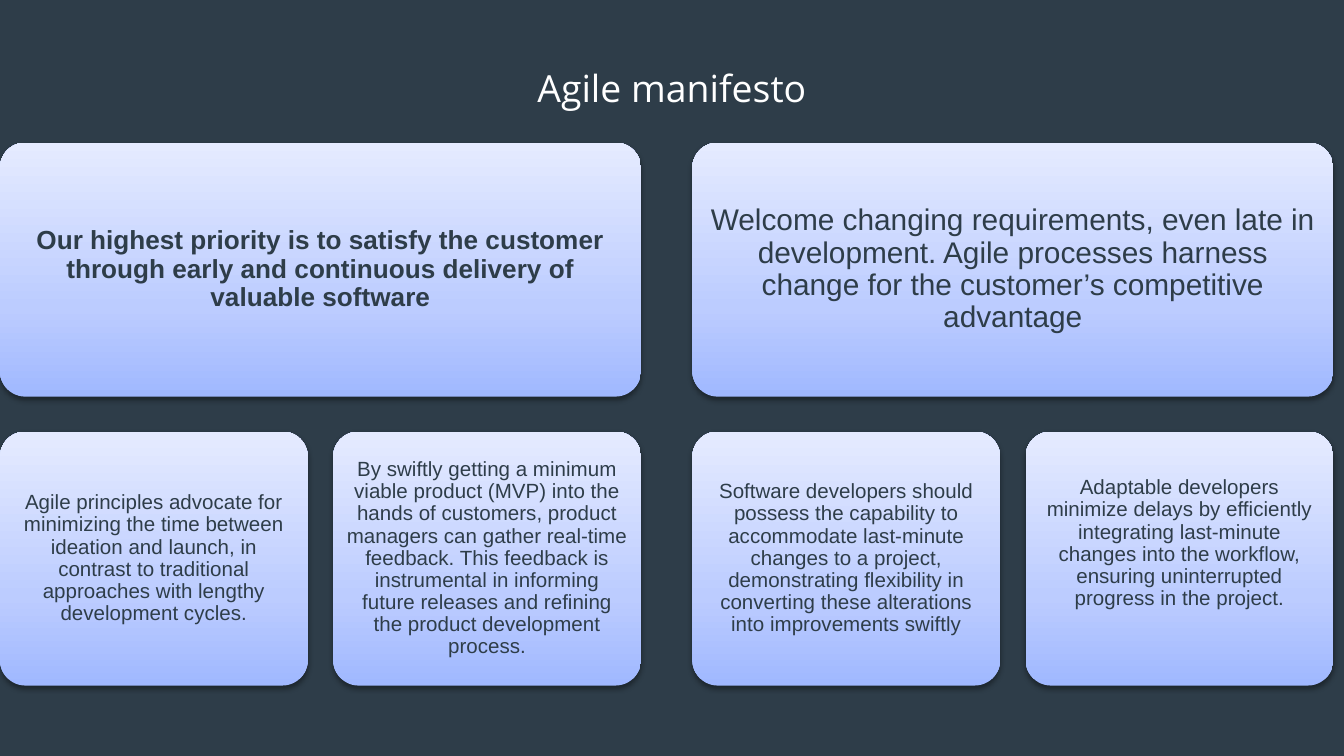
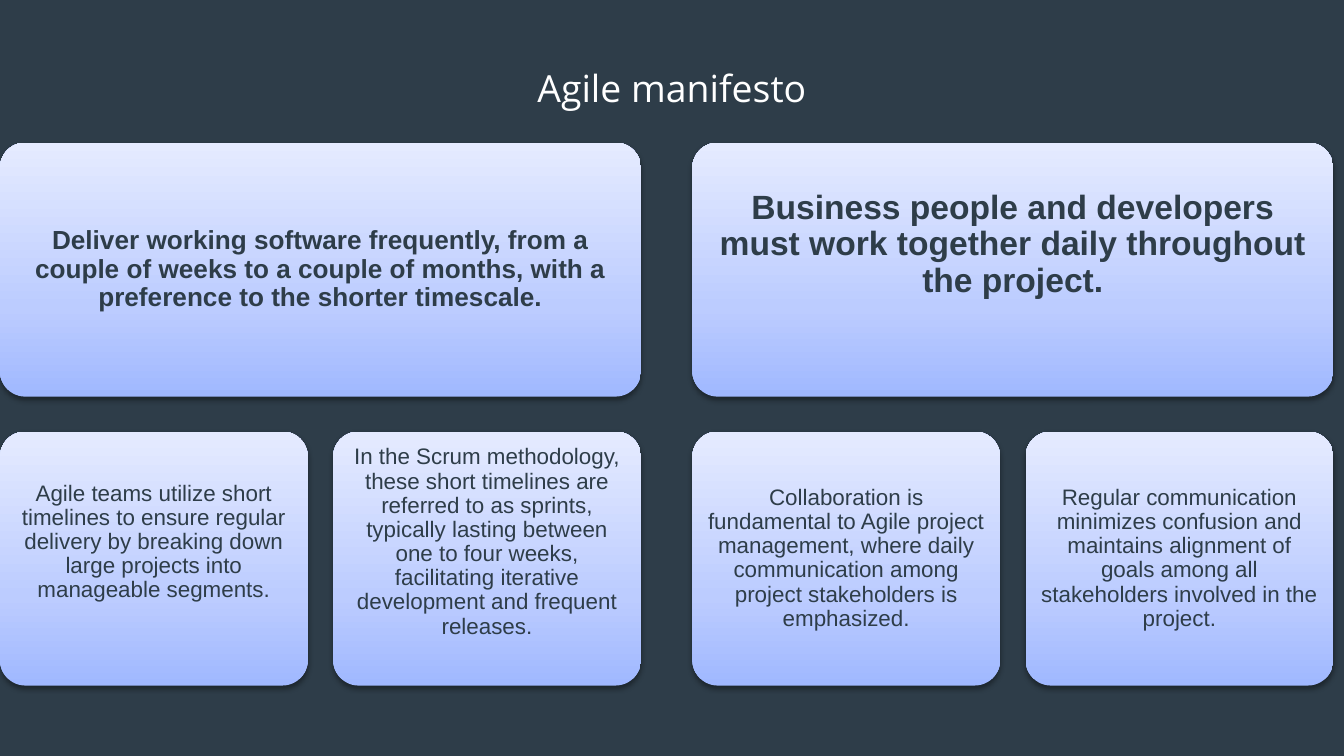
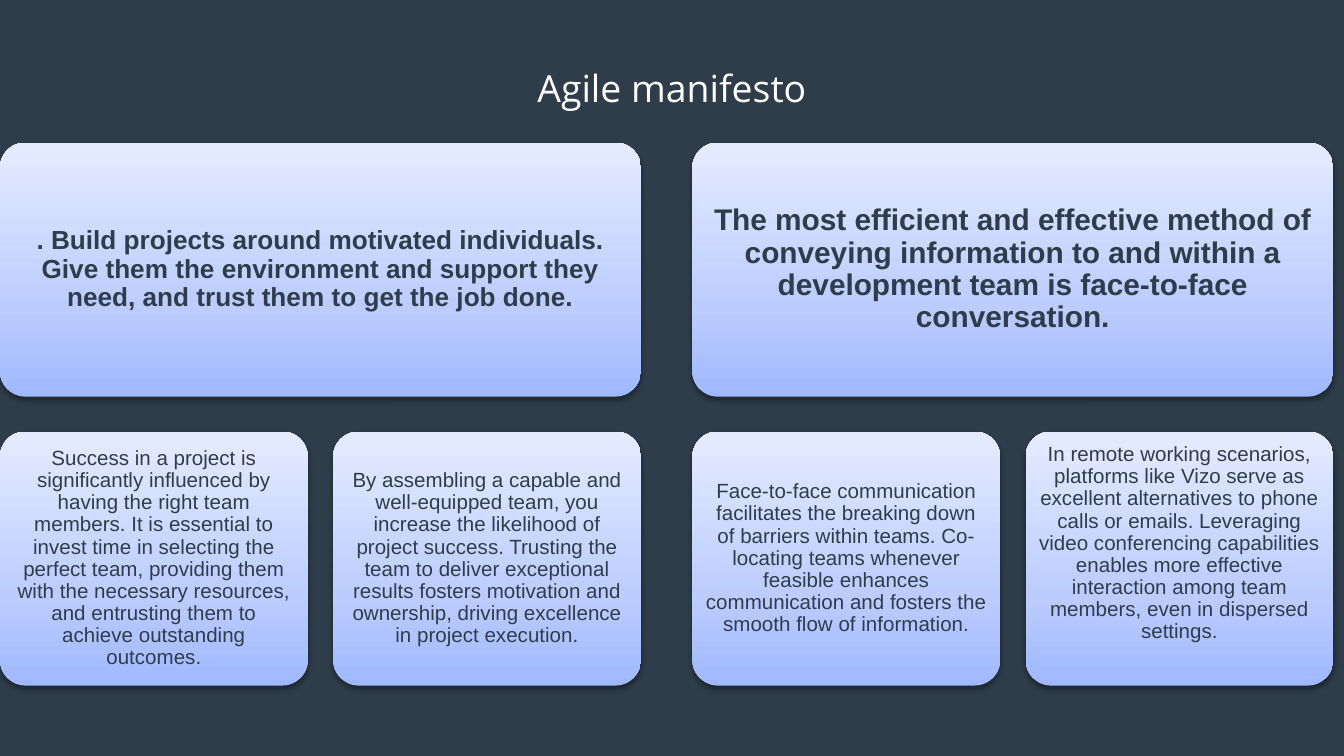
from dataclasses import dataclass

from pptx import Presentation
from pptx.dml.color import RGBColor
from pptx.enum.shapes import MSO_SHAPE
from pptx.enum.text import MSO_ANCHOR, PP_ALIGN
from pptx.oxml import parse_xml
from pptx.oxml.ns import nsdecls
from pptx.util import Pt

COLORS = {
    "page": "2E3D49",
    "title": "FFFFFF",
    "text": "2E3D49",
    "card_bottom": "A0B8FF",
    "card_middle": "BCCCFF",
    "card_top": "E5EBFF",
    "shadow": "000000",
}
TITLE = "Agile manifesto"
TITLE_FONT = "Open Sans"
CARD_FONT = "Arial"
BLANK_LAYOUT = 6

COLUMN_STEP = 370.9
PRINCIPLE_WIDTH = 343.4
DETAIL_WIDTH = 164.9
DETAIL_STEP = PRINCIPLE_WIDTH - DETAIL_WIDTH
CARD_HEIGHT = 136.1
PRINCIPLE_TOP = 76.4
DETAIL_TOP = 231.2
INSET_RATIO = 0.3
LIFT_RATIO = 1.46


@dataclass
class Card:
    """The words of a card and how they are set."""

    text: str
    size: int
    bold: bool = False
    lifted: bool = False


SLIDES = [
    [
        (
            Card("Our highest priority is to satisfy the customer through early and "
                 "continuous delivery of valuable software", 14, bold=True),
            Card("Agile principles advocate for minimizing the time between ideation and "
                 "launch, in contrast to traditional approaches with lengthy development "
                 "cycles.", 11),
            Card("By swiftly getting a minimum viable product (MVP) into the hands of "
                 "customers, product managers can gather real-time feedback. This feedback "
                 "is instrumental in informing future releases and refining the product "
                 "development process.", 11),
        ),
        (
            Card("Welcome changing requirements, even late in development. Agile processes "
                 "harness change for the customer’s competitive advantage", 16),
            Card("Software developers should possess the capability to accommodate "
                 "last-minute changes to a project, demonstrating flexibility in converting "
                 "these alterations into improvements swiftly", 11),
            Card("Adaptable developers minimize delays by efficiently integrating "
                 "last-minute changes into the workflow, ensuring uninterrupted progress in "
                 "the project.", 11, lifted=True),
        ),
    ],
    [
        (
            Card("Deliver working software frequently, from a couple of weeks to a couple of "
                 "months, with a preference to the shorter timescale.", 14, bold=True),
            Card("Agile teams utilize short timelines to ensure regular delivery by breaking "
                 "down large projects into manageable segments.", 12, lifted=True),
            Card("In the Scrum methodology, these short timelines are referred to as "
                 "sprints, typically lasting between one to four weeks, facilitating "
                 "iterative development and frequent releases.", 12, lifted=True),
        ),
        (
            Card("Business people and developers must work together daily throughout the "
                 "project.", 18, bold=True, lifted=True),
            Card("Collaboration is fundamental to Agile project management, where daily "
                 "communication among project stakeholders is emphasized.", 12),
            Card("Regular communication minimizes confusion and maintains alignment of goals "
                 "among all stakeholders involved in the project.", 12),
        ),
    ],
    [
        (
            Card(". Build projects around motivated individuals. Give them the environment "
                 "and support they need, and trust them to get the job done.", 14, bold=True),
            Card("Success in a project is significantly influenced by having the right team "
                 "members. It is essential to invest time in selecting the perfect team, "
                 "providing them with the necessary resources, and entrusting them to "
                 "achieve outstanding outcomes.", 11),
            Card("By assembling a capable and well-equipped team, you increase the "
                 "likelihood of project success. Trusting the team to deliver exceptional "
                 "results fosters motivation and ownership, driving excellence in project "
                 "execution.", 11),
        ),
        (
            Card("The most efficient and effective method of conveying information to and "
                 "within a development team is face-to-face conversation.", 16, bold=True),
            Card("Face-to-face communication facilitates the breaking down of barriers "
                 "within teams. Co-locating teams whenever feasible enhances communication "
                 "and fosters the smooth flow of information.", 11),
            Card("In remote working scenarios, platforms like Vizo serve as excellent "
                 "alternatives to phone calls or emails. Leveraging video conferencing "
                 "capabilities enables more effective interaction among team members, even "
                 "in dispersed settings.", 11, lifted=True),
        ),
    ],
]


def rgb(name):
    """Return the named colour."""
    return RGBColor.from_string(COLORS[name])


def write_text(frame, text, font_name, size, color, spacing, inset, bold=False):
    """Fill a text frame with one centred paragraph."""
    frame.word_wrap = True
    frame.margin_left = frame.margin_right = Pt(inset)
    frame.margin_top = frame.margin_bottom = Pt(inset)
    para = frame.paragraphs[0]
    para.text = text
    para.alignment = PP_ALIGN.CENTER
    para.line_spacing = spacing
    para.font.name = font_name
    para.font.size = Pt(size)
    para.font.bold = bold
    para.font.color.rgb = rgb(color)


def add_title(page):
    """Add the slide title."""
    box = page.shapes.add_textbox(Pt(36), Pt(20.2), Pt(648), Pt(46))
    write_text(box.text_frame, TITLE, TITLE_FONT, 20, "title", 1.5, 2.9)


def style_card(shape):
    """Give a card its gradient, its soft shadow and no outline."""
    stops = "".join(
        f'<a:gs pos="{percent * 1000}"><a:srgbClr val="{COLORS[name]}"/></a:gs>'
        for percent, name in [(0, "card_bottom"), (35, "card_middle"), (100, "card_top")]
    )
    gradient = parse_xml(
        f'<a:gradFill {nsdecls("a")} rotWithShape="1"><a:gsLst>{stops}</a:gsLst>'
        '<a:lin ang="16200000" scaled="0"/></a:gradFill>'
    )
    shadow = parse_xml(
        f'<a:effectLst {nsdecls("a")}><a:outerShdw blurRad="{Pt(3.1)}" dist="{Pt(1.6)}" '
        f'dir="5400000" rotWithShape="0"><a:srgbClr val="{COLORS["shadow"]}">'
        '<a:alpha val="38000"/></a:srgbClr></a:outerShdw></a:effectLst>'
    )
    shape.line.fill.background()
    outline = shape.line._get_or_add_ln()
    outline.addprevious(gradient)
    outline.addnext(shadow)


def add_card(page, card, left, top, width):
    """Add a rounded card with its words."""
    shape = page.shapes.add_shape(
        MSO_SHAPE.ROUNDED_RECTANGLE, Pt(left), Pt(top), Pt(width), Pt(CARD_HEIGHT)
    )
    shape.adjustments[0] = 0.1
    style_card(shape)
    frame = shape.text_frame
    inset = card.size * INSET_RATIO
    write_text(frame, card.text, CARD_FONT, card.size, "text", 0.9, inset, card.bold)
    frame.vertical_anchor = MSO_ANCHOR.MIDDLE
    if card.lifted:
        frame.margin_bottom = Pt(inset + card.size * LIFT_RATIO)


def add_column(page, cards, left):
    """Add a principle with its detail cards below."""
    principle, *details = cards
    add_card(page, principle, left, PRINCIPLE_TOP, PRINCIPLE_WIDTH)
    for index, detail in enumerate(details):
        add_card(page, detail, left + index * DETAIL_STEP, DETAIL_TOP, DETAIL_WIDTH)


def main():
    """Build and save the deck."""
    deck = Presentation()
    deck.slide_width, deck.slide_height = Pt(720), Pt(405)
    background = deck.slide_master.background.fill
    background.solid()
    background.fore_color.rgb = rgb("page")
    for columns in SLIDES:
        page = deck.slides.add_slide(deck.slide_layouts[BLANK_LAYOUT])
        add_title(page)
        for index, cards in enumerate(columns):
            add_column(page, cards, index * COLUMN_STEP)
    deck.save("out.pptx")


if __name__ == "__main__":
    main()
